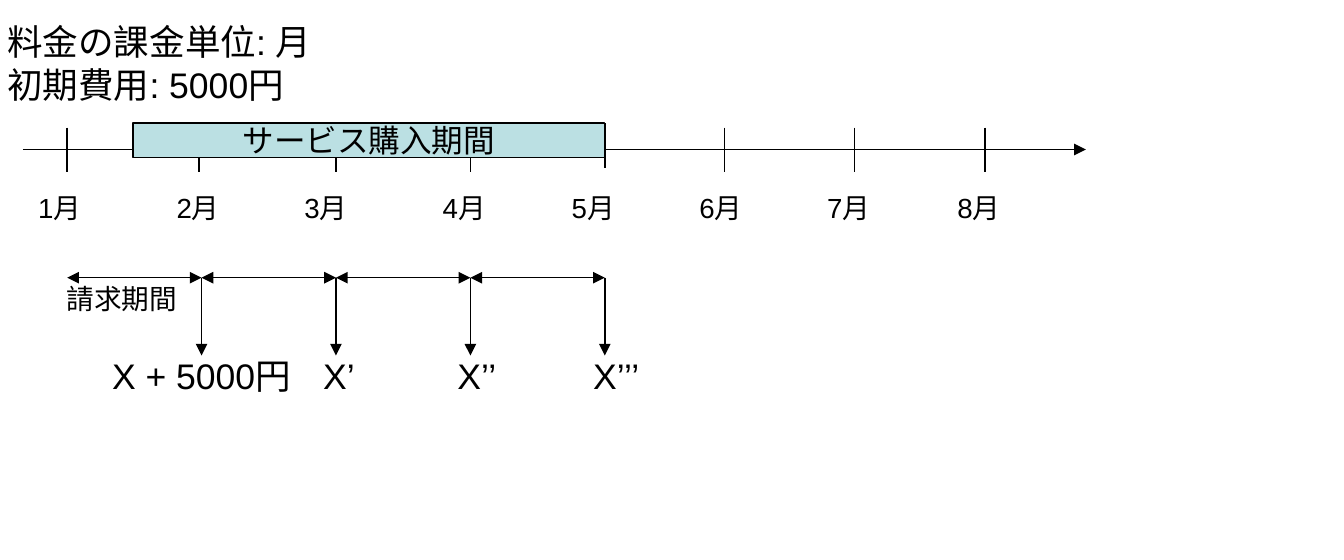
from lxml.etree import SubElement
from pptx import Presentation
from pptx.dml.color import RGBColor
from pptx.enum.shapes import MSO_CONNECTOR, MSO_SHAPE
from pptx.enum.text import MSO_ANCHOR, MSO_AUTO_SIZE, PP_ALIGN
from pptx.oxml.ns import qn
from pptx.util import Inches, Pt

THEME = {
    "font": "Arial",
    "ink": RGBColor(0x00, 0x00, 0x00),
    "bar": RGBColor(0xBB, 0xE0, 0xE3),
    "line": Pt(0.75),
    "large": Pt(18),
    "medium": Pt(16),
    "small": Pt(14),
}

prs = Presentation()
prs.slide_width, prs.slide_height = Inches(9.45), Inches(3.94)
s = prs.slides.add_slide(prs.slide_layouts[6])
COL, ROW = prs.slide_width / 10, prs.slide_height / 10


def add_line(x1, y1, x2, y2, *ends):
    c = s.shapes.add_connector(
        MSO_CONNECTOR.STRAIGHT,
        int(x1 * COL), int(y1 * ROW), int(x2 * COL), int(y2 * ROW))
    c.line.color.rgb = THEME["ink"]
    c.line.width = THEME["line"]
    ln = c.line._get_or_add_ln()
    for end in ends:
        SubElement(ln, qn(f"a:{end}"), type="triangle")
    SubElement(c._element.spPr, qn("a:effectLst"))


def add_text(text, x, y, w, h, size, wrap=False, fill=None):
    box = int(x * COL), int(y * ROW), int(w * COL), int(h * ROW)
    if fill is None:
        sp = s.shapes.add_textbox(*box)
    else:
        sp = s.shapes.add_shape(MSO_SHAPE.RECTANGLE, *box)
        sp.shadow.inherit = False
        sp.fill.solid()
        sp.fill.fore_color.rgb = fill
        sp.line.color.rgb = THEME["ink"]
        sp.line.width = THEME["line"]
    tf = sp.text_frame
    tf.text = text
    tf.word_wrap = wrap
    tf.auto_size = MSO_AUTO_SIZE.SHAPE_TO_FIT_TEXT if fill is None else MSO_AUTO_SIZE.NONE
    tf.vertical_anchor = MSO_ANCHOR.TOP if fill is None else MSO_ANCHOR.MIDDLE
    for p in tf.paragraphs:
        p.alignment = PP_ALIGN.LEFT if fill is None else PP_ALIGN.CENTER
        for r in p.runs:
            r.font.name = THEME["font"]
            r.font.size = THEME[size]
            r.font.color.rgb = THEME["ink"]


add_text("料金の課金単位: 月\n初期費用: 5000円", -0.05, 0.23, 2.6, 1.78, "large")

add_line(0.17, 2.67, 8.08, 2.67, "tailEnd")
for tick in (0.5, 1.48, 2.5, 3.5, 5.39, 6.36, 7.33):
    add_line(tick, 2.28, tick, 3.07)
for month, left in enumerate((0.18, 1.21, 2.16, 3.19, 4.15, 5.1, 6.05, 7.02), 1):
    add_text(f"{month}月", left, 3.28, 0.58, 0.86, "small")

add_text("サービス購入期間", 0.99, 2.2, 3.51, 0.61, "medium", fill=THEME["bar"])
add_line(4.5, 2.2, 4.5, 3)

add_text("請求期間", 0.39, 4.9, 1.61, 0.86, "small", wrap=True)
charges = (
    ("X + 5000円", 0.73, 1.61),
    ("X’", 2.3, 0.5),
    ("X’’", 3.3, 0.56),
    ("X’’’", 4.31, 0.62),
)
for i, (charge, left, width) in enumerate(charges):
    start, end = i + 0.5, i + 1.5
    add_line(start, 4.96, end, 4.96, "headEnd", "tailEnd")
    add_line(end, 4.96, end, 6.35, "tailEnd")
    add_text(charge, left, 6.19, width, 1.02, "large")

prs.save("out.pptx")
